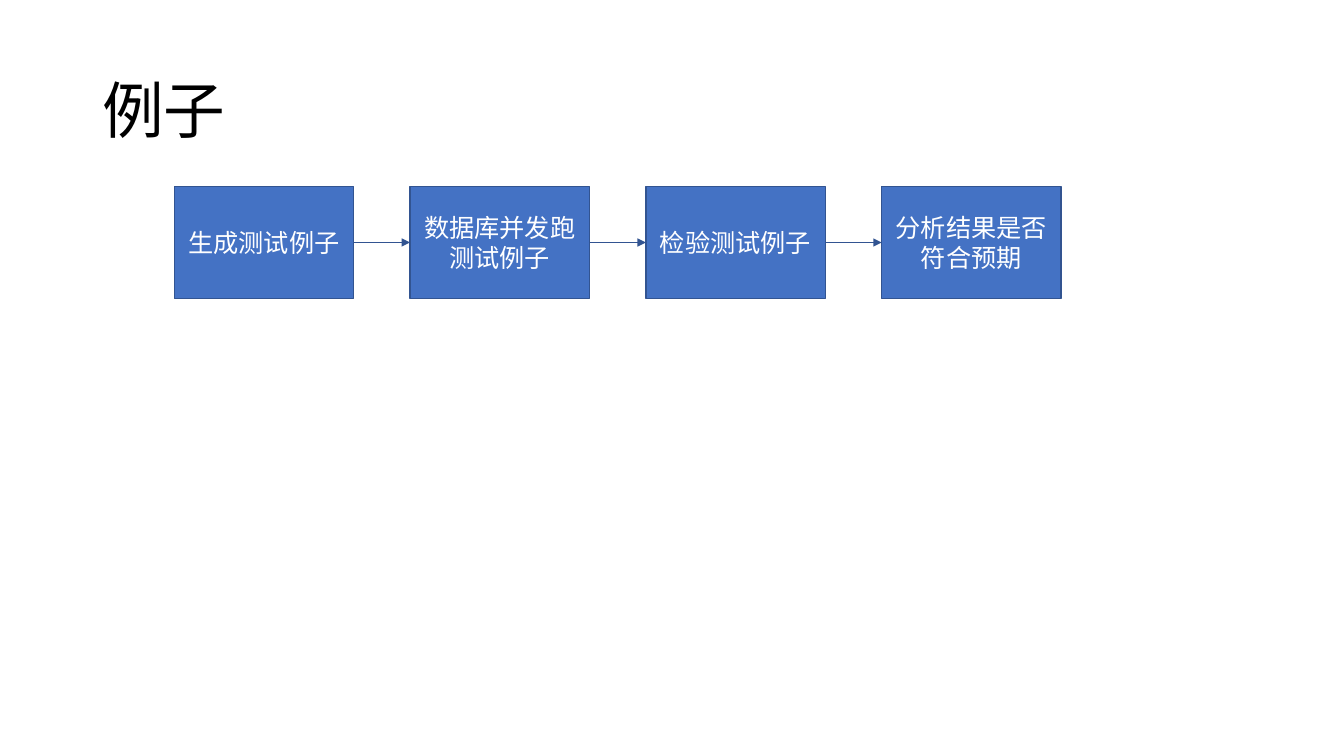
from itertools import pairwise

from lxml import etree
from pptx import Presentation
from pptx.dml.color import RGBColor
from pptx.enum import shapes, text
from pptx.oxml import ns
from pptx.util import Cm, Pt

FONT = "Noto Sans CJK SC"
BLACK, WHITE, BLUE, DARK_BLUE = "000000", "FFFFFF", "4472C4", "325491"
STEPS = ["生成测试例子", "数据库并发跑测试例子", "检验测试例子", "分析结果是否符合预期"]
LEFT, RIGHT, TOP, BOTTOM = range(4)[1], 3, 0, 2  # connection sites of a rectangle


def color(value):
    return RGBColor.from_string(value)


def set_all(target, values):
    for name, value in values.items():
        setattr(target, name, value)


def write(shape, words, size, ink, align, spacing=1.0):
    frame = shape.text_frame
    set_all(frame, {"word_wrap": True, "vertical_anchor": text.MSO_ANCHOR.MIDDLE})
    para = frame.paragraphs[0]
    set_all(para, {"alignment": align, "line_spacing": spacing})
    span = para.add_run()
    span.text = words
    set_all(span.font, {"size": Pt(size), "name": FONT})
    span.font.color.rgb = color(ink)
    # East Asian characters take their own typeface setting
    etree.SubElement(span.font._element, ns.qn("a:ea"), typeface=FONT)


def draw_line(line):
    line.color.rgb = color(DARK_BLUE)
    line.width = Pt(1)


def add_title(page, words, left, top, width, height):
    box = page.shapes.add_textbox(Cm(left), Cm(top), Cm(width), Cm(height))
    write(box, words, 44, BLACK, text.PP_ALIGN.LEFT, 0.9)


def add_step(page, words, left, top, width, height):
    box = page.shapes.add_shape(shapes.MSO_SHAPE.RECTANGLE,
                                Cm(left), Cm(top), Cm(width), Cm(height))
    box.shadow.inherit = False
    box.fill.solid()
    box.fill.fore_color.rgb = color(BLUE)
    draw_line(box.line)
    write(box, words, 18, WHITE, text.PP_ALIGN.CENTER)
    return box


def add_arrow(page, source, target):
    arrow = page.shapes.add_connector(shapes.MSO_CONNECTOR.STRAIGHT, 0, 0, 0, 0)
    arrow.begin_connect(source, RIGHT)
    arrow.end_connect(target, LEFT)
    draw_line(arrow.line)
    # Arrowhead at the target, no shadow
    properties = arrow._element.spPr
    etree.SubElement(properties.find(ns.qn("a:ln")), ns.qn("a:tailEnd"), type="triangle")
    etree.SubElement(properties, ns.qn("a:effectLst"))


def add_flow(page, steps, left, top, width, height, gap):
    step_width = (width - gap * (len(steps) - 1)) / len(steps)
    boxes = [add_step(page, words, left + index * (step_width + gap), top, step_width, height)
             for index, words in enumerate(steps)]
    for source, target in pairwise(boxes):
        add_arrow(page, source, target)


def main():
    deck = Presentation()
    set_all(deck, {"slide_width": Cm(33.87), "slide_height": Cm(19.05)})
    page = deck.slides.add_slide(deck.slide_layouts[6])
    add_title(page, "例子", left=2.33, top=1.01, width=29.21, height=3.68)
    add_flow(page, STEPS, left=4.39, top=4.7, width=22.35, height=2.82, gap=1.42)
    deck.save("out.pptx")


if __name__ == "__main__":
    main()
